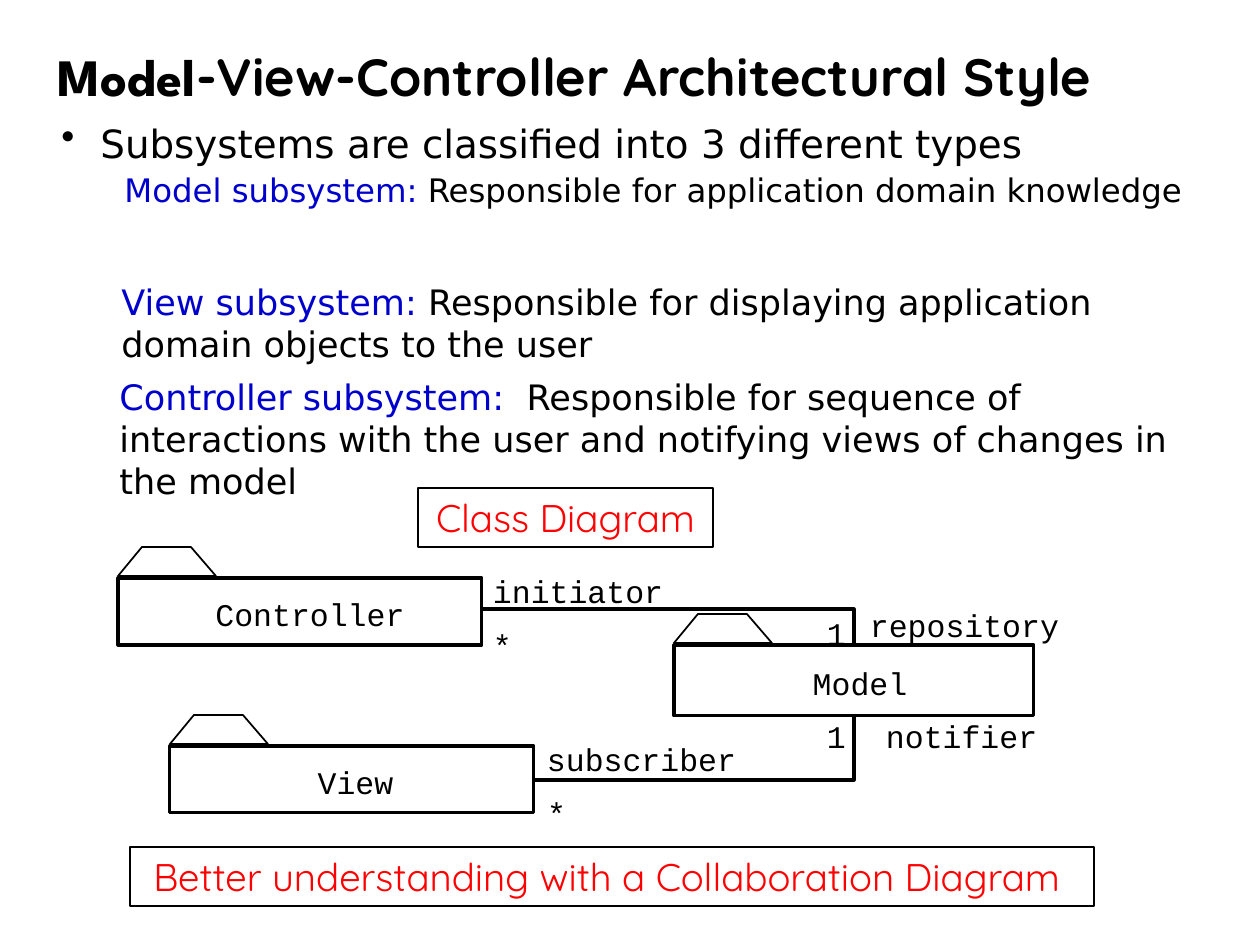
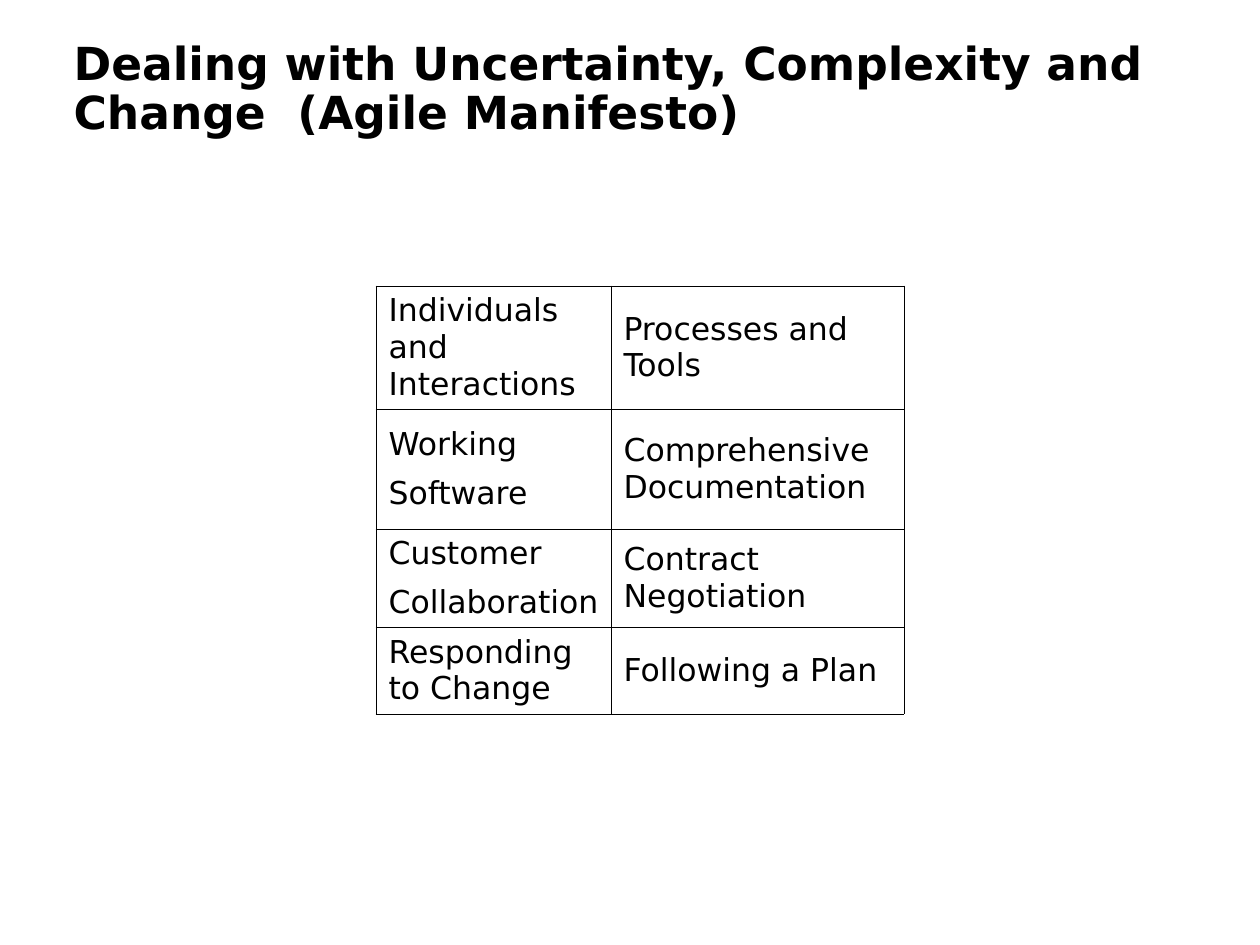
"""Build two slides: the MVC architectural style and the Agile Manifesto."""
from dataclasses import dataclass

import pptx
import pptx.dml.color
import pptx.enum.shapes
import pptx.enum.text
import pptx.oxml.ns
import pptx.util
from lxml import etree

EMU_PER_PX = 914400 / 126
BLACK, WHITE, BLUE, RED = "000000", "FFFFFF", "0000CC", "FF0000"
SANS, MONO, ROUNDED, HEADLINE = "DejaVu Sans", "Courier New", "Quicksand", "League Spartan"
ANCHOR = pptx.enum.text.MSO_ANCHOR
ALIGN = pptx.enum.text.PP_ALIGN
RECTANGLE = pptx.enum.shapes.MSO_SHAPE.RECTANGLE
TITLE_ONLY = 5
TAB_OUTLINE = ((0, 29), (24, 0), (73, 0), (98, 29))
TAB_RISE = 31


@dataclass(frozen=True)
class Span:
    text: str
    size: float
    face: str
    color: str = BLACK
    bold: bool = False


@dataclass(frozen=True)
class Box:
    left: int
    top: int
    width: int
    height: int


@dataclass(frozen=True)
class Package:
    name: str
    box: Box
    name_inset: int


@dataclass(frozen=True)
class Role:
    text: str
    left: int
    top: int


@dataclass(frozen=True)
class Responsibility:
    subsystem: str
    duty: str
    box: Box


PACKAGES = (
    Package("Model", Box(674, 645, 360, 71), 12),
    Package("Controller", Box(118, 578, 364, 67), 20),
    Package("View", Box(170, 746, 364, 67), 7),
)
ASSOCIATIONS = (
    ((530, 780), (854, 780), (854, 713)),
    ((479, 609), (854, 609), (854, 645)),
)
ROLES = (
    Role("subscriber", 547, 740),
    Role("notifier", 886, 717),
    Role("*", 547, 794),
    Role("1", 827, 717),
    Role("initiator", 493, 572),
    Role("repository", 870, 606),
    Role("1", 827, 614),
    Role("*", 493, 626),
)
RESPONSIBILITIES = (
    Responsibility(
        "View subsystem:",
        " Responsible for displaying application domain objects to the user",
        Box(46, 274, 1138, 116),
    ),
    Responsibility(
        "Controller subsystem:",
        "  Responsible for sequence of interactions with the user and notifying views"
        " of changes in the model",
        Box(44, 369, 1138, 135),
    ),
)
CALLOUTS = (
    ("Class Diagram", Box(418, 488, 295, 59)),
    ("Better understanding with a Collaboration Diagram ", Box(130, 847, 964, 59)),
)
MANIFESTO = (
    ("Individuals and Interactions", "Processes and Tools"),
    ("Working\nSoftware", "Comprehensive Documentation"),
    ("Customer\nCollaboration", "Contract Negotiation"),
    ("Responding to Change", "Following a Plan"),
)
COLUMN_WIDTHS = (235, 293)
ROW_HEIGHTS = (123, 120, 98, 87)
CELL_RIGHT_MARGIN = 6


def px(length: float) -> pptx.util.Emu:
    """Turn pixels into EMU."""
    return pptx.util.Emu(round(length * EMU_PER_PX))


def rgb(color: str) -> pptx.dml.color.RGBColor:
    """Turn a hex string into a colour."""
    return pptx.dml.color.RGBColor.from_string(color)


def place(box: Box) -> tuple:
    """Give a box as EMU lengths."""
    return px(box.left), px(box.top), px(box.width), px(box.height)


def style_font(font, span: Span) -> None:
    """Apply the look of a span to a font."""
    font.size = pptx.util.Pt(span.size)
    font.name = span.face
    font.bold = span.bold
    font.color.rgb = rgb(span.color)


def write(paragraph, *spans: Span) -> None:
    """Add styled runs to a paragraph."""
    for span in spans:
        run = paragraph.add_run()
        run.text = span.text
        style_font(run.font, span)


def indent(paragraph, margin: int, hanging: int = 0, bullet: str = "") -> None:
    """Set the left margin, the hanging indent and the bullet of a paragraph."""
    properties = paragraph._p.get_or_add_pPr()
    properties.set("marL", str(px(margin)))
    properties.set("indent", str(-px(hanging)))
    if bullet:
        mark = etree.SubElement(properties, pptx.oxml.ns.qn("a:buChar"))
        mark.set("char", bullet)


def add_text(slide, box: Box, wrap: bool = True, inset: bool = True):
    """Add a text box and return its text frame."""
    frame = slide.shapes.add_textbox(*place(box)).text_frame
    frame.word_wrap = wrap
    if not inset:
        frame.margin_left = frame.margin_right = frame.margin_top = frame.margin_bottom = 0
    return frame


def outline(shape, width: float) -> None:
    """Give a shape a black line and no shadow."""
    shape.shadow.inherit = False
    shape.line.color.rgb = rgb(BLACK)
    shape.line.width = pptx.util.Pt(width)


def add_rectangle(slide, box: Box, line_width: float, span: Span):
    """Add a white rectangle with centred text and return its text frame."""
    rectangle = slide.shapes.add_shape(RECTANGLE, *place(box))
    rectangle.fill.solid()
    rectangle.fill.fore_color.rgb = rgb(WHITE)
    outline(rectangle, line_width)
    frame = rectangle.text_frame
    frame.word_wrap = False
    frame.vertical_anchor = ANCHOR.MIDDLE
    frame.paragraphs[0].alignment = ALIGN.CENTER
    write(frame.paragraphs[0], span)
    return frame


def add_outline(slide, points: tuple, line_width: float, closed: bool) -> None:
    """Draw a path through points, filled white when closed."""
    builder = slide.shapes.build_freeform(*points[0], scale=EMU_PER_PX)
    builder.add_line_segments(points[1:], close=closed)
    path_shape = builder.convert_to_shape()
    if closed:
        path_shape.fill.solid()
        path_shape.fill.fore_color.rgb = rgb(WHITE)
    else:
        path_shape.fill.background()
    outline(path_shape, line_width)


def add_package(slide, package: Package) -> None:
    """Draw a package: a named body with a tab on top."""
    frame = add_rectangle(slide, package.box, 1.75, Span(package.name, 18, MONO))
    frame.margin_left, frame.margin_right = px(package.name_inset), 0
    frame.margin_top, frame.margin_bottom = px(5), 0
    left, top = package.box.left, package.box.top - TAB_RISE
    add_outline(slide, tuple((left + x, top + y) for x, y in TAB_OUTLINE), 1, True)


def add_titled_slide(deck, box: Box, *spans: Span):
    """Add a title-only slide with its title placed and styled."""
    slide = deck.slides.add_slide(deck.slide_layouts[TITLE_ONLY])
    title = slide.shapes.title
    title.left, title.top, title.width, title.height = place(box)
    frame = title.text_frame
    frame.word_wrap = True
    frame.auto_size = pptx.enum.text.MSO_AUTO_SIZE.NONE
    frame.vertical_anchor = ANCHOR.MIDDLE
    heading = frame.paragraphs[0]
    heading.alignment = ALIGN.LEFT
    heading.line_spacing = 0.9
    write(heading, *spans)
    return slide


def build_mvc(deck) -> None:
    """Build the Model-View-Controller slide."""
    slide = add_titled_slide(
        deck,
        Box(45, 21, 1202, 118),
        Span("Model", 30, HEADLINE, bold=True),
        Span("-View-Controller Architectural Style", 30, ROUNDED, bold=True),
    )
    overview = add_text(slide, Box(49, 126, 1152, 107))
    types = overview.paragraphs[0]
    types.line_spacing = 0.7
    indent(types, 39, 39, "•")
    write(types, Span("Subsystems are classified into 3 different types", 22.2, SANS))
    model = overview.add_paragraph()
    model.line_spacing = 0.8
    model.space_before = pptx.util.Pt(7.5)
    indent(model, 63)
    write(
        model,
        Span("Model subsystem:", 18.5, SANS, BLUE),
        Span(" Responsible for application domain knowledge", 18.5, SANS),
    )
    for item in RESPONSIBILITIES:
        paragraph = add_text(slide, item.box).paragraphs[0]
        indent(paragraph, 63)
        write(paragraph, Span(item.subsystem, 20, SANS, BLUE), Span(item.duty, 20, SANS))
    for points in ASSOCIATIONS:
        add_outline(slide, points, 1.75, False)
    for role in ROLES:
        box = Box(role.left, role.top, 19 * len(role.text), 38)
        write(add_text(slide, box, False, False).paragraphs[0], Span(role.text, 18, MONO))
    for package in PACKAGES:
        add_package(slide, package)
    for text, box in CALLOUTS:
        add_rectangle(slide, box, 1, Span(text, 22, ROUNDED, RED))


def add_borders(cell) -> None:
    """Draw thin black lines on the four sides of a cell."""
    properties = cell._tc.get_or_add_tcPr()
    for position, side in enumerate(("lnL", "lnR", "lnT", "lnB")):
        border = etree.Element(pptx.oxml.ns.qn(f"a:{side}"), w=str(pptx.util.Pt(0.45)))
        fill = etree.SubElement(border, pptx.oxml.ns.qn("a:solidFill"))
        etree.SubElement(fill, pptx.oxml.ns.qn("a:srgbClr"), val=BLACK)
        properties.insert(position, border)


def fill_cell(cell, text: str) -> None:
    """Write and style one table cell."""
    cell.text = text
    cell.vertical_anchor = ANCHOR.MIDDLE
    cell.margin_right = px(CELL_RIGHT_MARGIN)
    cell.fill.solid()
    cell.fill.fore_color.rgb = rgb(WHITE)
    add_borders(cell)
    for position, paragraph in enumerate(cell.text_frame.paragraphs):
        paragraph.line_spacing = pptx.util.Pt(21)
        if position:
            paragraph.space_before = pptx.util.Pt(6.8)
        for run in paragraph.runs:
            style_font(run.font, Span(run.text, 18, SANS))


def build_manifesto(deck) -> None:
    """Build the Agile Manifesto slide."""
    heading = "Dealing with Uncertainty, Complexity and Change  (Agile Manifesto)"
    slide = add_titled_slide(
        deck, Box(58, 31, 1124, 118), Span(heading, 26, SANS, bold=True)
    )
    indent(slide.shapes.title.text_frame.paragraphs[0], 3)
    box = Box(376, 286, sum(COLUMN_WIDTHS), sum(ROW_HEIGHTS))
    values = slide.shapes.add_table(len(MANIFESTO), len(COLUMN_WIDTHS), *place(box)).table
    values.first_row = values.horz_banding = False
    for column, width in zip(values.columns, COLUMN_WIDTHS):
        column.width = px(width)
    for row, height, texts in zip(values.rows, ROW_HEIGHTS, MANIFESTO):
        row.height = px(height)
        for cell, text in zip(row.cells, texts):
            fill_cell(cell, text)


def main() -> None:
    """Build and save the deck."""
    deck = pptx.Presentation()
    deck.slide_width, deck.slide_height = px(1260), px(945)
    build_mvc(deck)
    build_manifesto(deck)
    deck.save("out.pptx")


if __name__ == "__main__":
    main()
